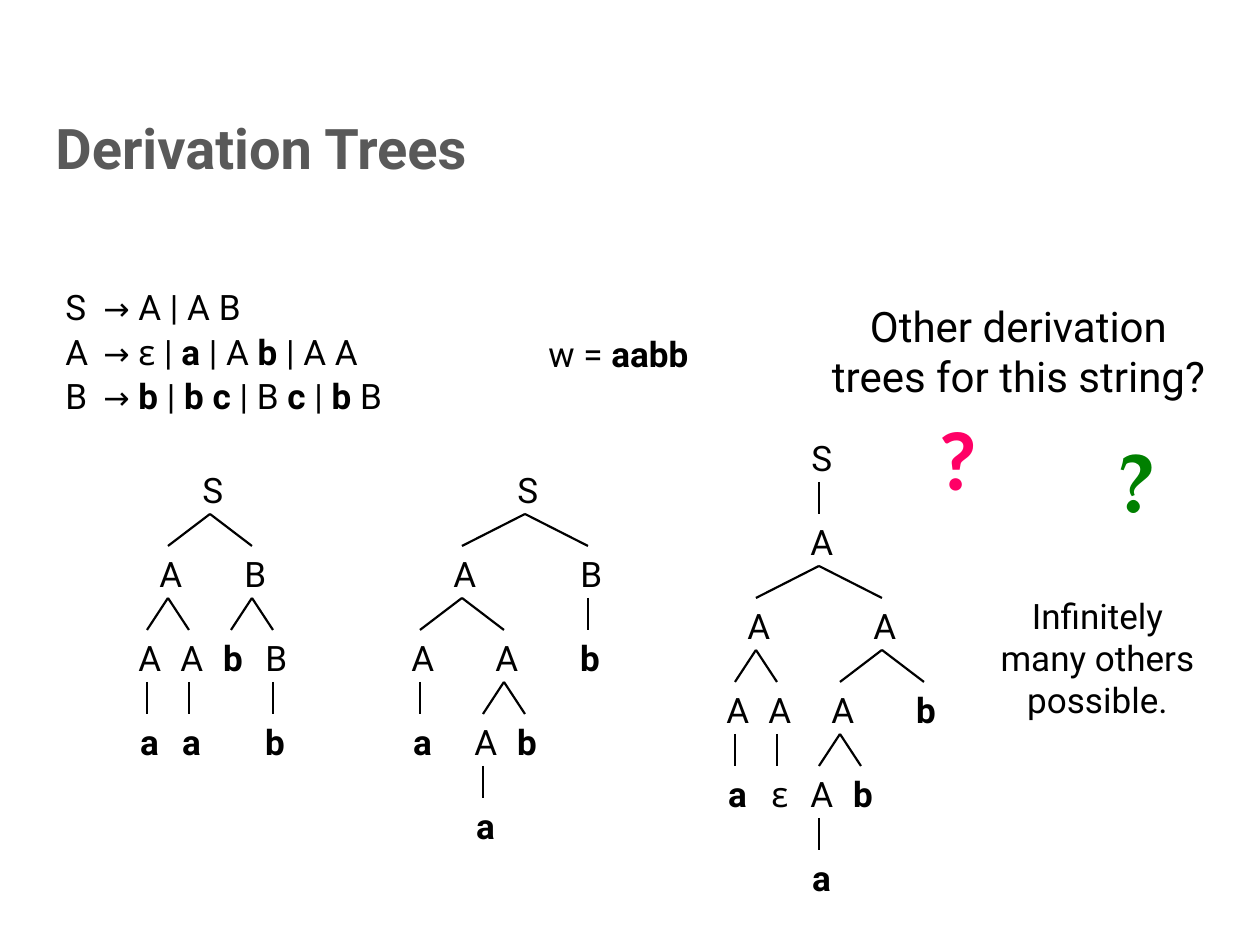
import itertools

import pptx
import pptx.dml.color
import pptx.enum.shapes
import pptx.enum.text
import pptx.oxml
import pptx.oxml.ns
import pptx.util

PX = 914400 // 126
BLACK = pptx.dml.color.RGBColor(0x00, 0x00, 0x00)
GRAY = pptx.dml.color.RGBColor(0x59, 0x59, 0x59)
PINK = pptx.dml.color.RGBColor(0xFF, 0x00, 0x66)
GREEN = pptx.dml.color.RGBColor(0x00, 0x80, 0x00)
LEFT = pptx.enum.text.PP_ALIGN.LEFT
CENTER = pptx.enum.text.PP_ALIGN.CENTER
TOP = pptx.enum.text.MSO_ANCHOR.TOP
BOTTOM = pptx.enum.text.MSO_ANCHOR.BOTTOM

# Format that a special glyph takes instead of that of its surroundings
GLYPH_FORMATS = {"→": {"size": 18}, "ε": {"font": "Noto Sans"}}

# Tree grid: column and row steps, label size, height of a branch
COLUMN, ROW = 21, 84
LABEL_HEIGHT, BRANCH_TOP = 54, 52
LABEL_WIDTHS = {"S": 45, "B": 45, "A": 47, "a": 47, "b": 48, "ε": 40}

GRAMMAR = [
    "S\t→ A | A B",
    "A\t→ ε | *a* | A *b* | A A",
    "B\t→ *b* | *b c* | B *c* | *b* B",
]

# A node is its symbol, its column and then its children.
BALANCED_TREE = (
    "S", 3,
    ("A", 1, ("A", 0, ("a", 0)), ("A", 2, ("a", 2))),
    ("B", 5, ("b", 4), ("B", 6, ("b", 6))),
)
SPLIT_TREE = (
    "S", 5,
    ("A", 2,
     ("A", 0, ("a", 0)),
     ("A", 4, ("A", 3, ("a", 3)), ("b", 5))),
    ("B", 8, ("b", 8)),
)
EPSILON_TREE = (
    "S", 4,
    ("A", 4,
     ("A", 1, ("A", 0, ("a", 0)), ("A", 2, ("ε", 2))),
     ("A", 7,
      ("A", 5, ("A", 4, ("a", 4)), ("b", 6)),
      ("b", 9))),
)


def px(*lengths):
    return [pptx.util.Emu(length * PX) for length in lengths]


def add_span(para, text, font, size, color, bold):
    span = para.add_run()
    span.text = text
    span.font.name = font
    span.font.size = pptx.util.Pt(size)
    span.font.color.rgb = color
    span.font.bold = bold


def set_tab(para, position):
    properties = para._p.get_or_add_pPr()
    properties.append(pptx.oxml.parse_xml(
        f'<a:tabLst {pptx.oxml.ns.nsdecls("a")}>'
        f'<a:tab pos="{position * PX}" algn="l"/></a:tabLst>'))


def add_text(shapes, area, text, font="Roboto", size=20, color=BLACK,
             bold=False, align=LEFT, anchor=TOP, wrap=True,
             line_spacing=None, space_before=0, tab=None):
    """Add a text box; asterisks in the text enclose bold parts."""
    box = shapes.add_textbox(*px(*area))
    frame = box.text_frame
    frame.word_wrap = wrap
    frame.vertical_anchor = anchor
    for index, line in enumerate(text.split("\n")):
        para = frame.add_paragraph() if index else frame.paragraphs[0]
        para.alignment = align
        para.line_spacing = line_spacing
        if index and space_before:
            para.space_before = pptx.util.Pt(space_before)
        if tab:
            set_tab(para, tab)
        for part_index, part in enumerate(line.split("*")):
            base = {"font": font, "size": size, "color": color,
                    "bold": bold or part_index % 2 == 1}
            for glyph, letters in itertools.groupby(
                    part, lambda letter: letter if letter in GLYPH_FORMATS else ""):
                special = GLYPH_FORMATS.get(glyph, {})
                add_span(para, "".join(letters), **{**base, **special})
    return box


def add_branch(shapes, start, end):
    branch = shapes.add_connector(
        pptx.enum.shapes.MSO_CONNECTOR.STRAIGHT, *px(*start, *end))
    branch.line.color.rgb = BLACK
    branch.line.width = pptx.util.Pt(1.25)
    branch._element.spPr.append(pptx.oxml.parse_xml(
        f'<a:effectLst {pptx.oxml.ns.nsdecls("a")}/>'))


def add_node(shapes, node, left, top):
    """Add a node and, below it, its branches and children."""
    symbol, column, *children = node
    center = left + column * COLUMN
    width = LABEL_WIDTHS[symbol]
    add_text(shapes, (center + 2 - width // 2, top, width, LABEL_HEIGHT), symbol,
             bold=symbol in "ab", align=CENTER, wrap=False)
    for child in children:
        add_branch(shapes, (center, top + BRANCH_TOP),
                   (left + child[1] * COLUMN, top + ROW))
        add_node(shapes, child, left, top + ROW)


def add_tree(page, tree, left, top):
    """Add a tree whose column 0 is centred on left."""
    add_node(page.shapes.add_group_shape().shapes, tree, left, top)


def add_title(page, area):
    add_text(page.shapes, area, "Derivation Trees", size=32, color=GRAY,
             bold=True, anchor=BOTTOM)


def add_grammar(page, left, top):
    """Add the grammar rules and, to their right, the derived string."""
    add_text(page.shapes, (left, top, 392, 142), "\n".join(GRAMMAR),
             line_spacing=0.9, space_before=4, tab=38)
    add_text(page.shapes, (left + 483, top + 42, 185, 54), "w = *aabb*")


def add_question(page, left, top):
    """Add the question, its two marks and the answer."""
    shapes = page.shapes
    add_text(shapes, (left, top, 399, 113),
             "Other derivation trees for this string?", size=24, align=CENTER)
    marks = [((left + 100, top + 106, 77, 113), "Calibri", PINK),
             ((left + 286, top + 128, 63, 113), "TeX Gyre Pagella", GREEN)]
    for area, font, color in marks:
        add_text(shapes, area, "?", font=font, size=48, color=color,
                 bold=True, align=CENTER, wrap=False)
    add_text(shapes, (left + 169, top + 294, 219, 139),
             "Infinitely many others possible.", align=CENTER)


def main():
    deck = pptx.Presentation()
    deck.slide_width, deck.slide_height = px(1260, 945)
    page = deck.slides.add_slide(deck.slide_layouts[6])
    add_title(page, (43, 82, 1174, 105))
    add_grammar(page, 53, 284)
    add_tree(page, BALANCED_TREE, 147, 462)
    add_tree(page, SPLIT_TREE, 420, 462)
    add_tree(page, EPSILON_TREE, 735, 430)
    add_question(page, 819, 294)
    deck.save("out.pptx")


if __name__ == "__main__":
    main()
